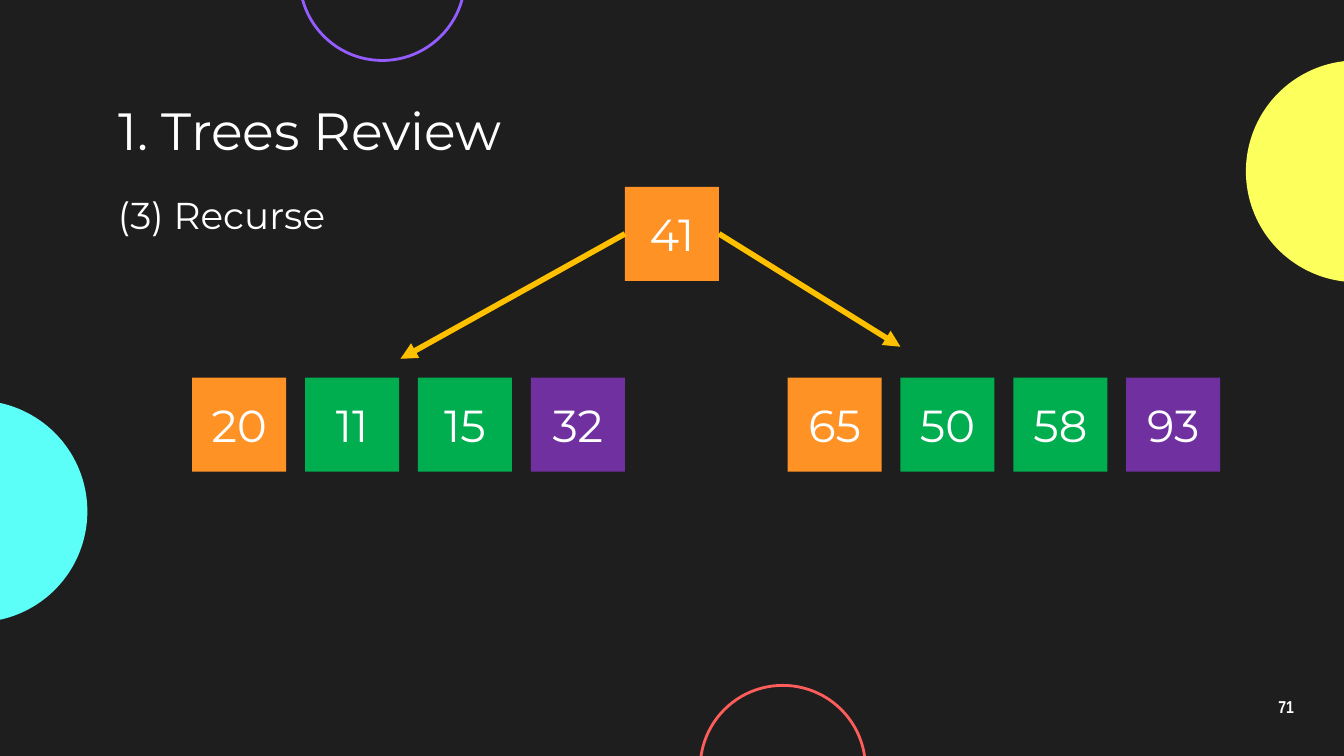
from pptx import Presentation, util as u
from pptx.dml.color import RGBColor
from pptx.enum import shapes, text
from pptx.oxml.ns import qn
from lxml import etree

W = 10
H = W * 9 / 16
FONT = "Montserrat"
NODE, STEP = 0.7, 0.84  # square side and column pitch
COLORS = {
    "bg": "1E1E1E", "text": "FFFFFF", "cyan": "5CFFF8", "yellow": "FDFF5C",
    "violet": "955CFF", "red": "FF5C5C", "orange": "FF9225",
    "green": "00AE4F", "purple": "7030A0", "arrow": "FFC000",
}
ROW_COLORS = ["orange", "green", "green", "purple"]


def rgb(name):
    return RGBColor.from_string(COLORS[name])


def inches(*values):
    return [u.Inches(v) for v in values]


def write(sp, words, size, align, anchor, inset=0.1, font=FONT, bold=False):
    tf = sp.text_frame
    tf.word_wrap = True
    tf.vertical_anchor = anchor
    tf.margin_left = tf.margin_right = u.Inches(0.1)
    tf.margin_top = tf.margin_bottom = u.Inches(inset)
    p = tf.paragraphs[0]
    p.alignment = align
    r = p.add_run()
    r.text = words
    r.font.name, r.font.size, r.font.bold = font, u.Pt(size), bold
    r.font.color.rgb = rgb("text")
    return p


def add_circle(s, x, y, d, color, outlined=False):
    sp = s.shapes.add_shape(shapes.MSO_SHAPE.OVAL, *inches(x, y, d, d))
    sp.shadow.inherit = False
    if outlined:
        sp.fill.background()
        sp.line.color.rgb = rgb(color)
        sp.line.width = u.Pt(1.5)
    else:
        sp.fill.solid()
        sp.fill.fore_color.rgb = rgb(color)
        sp.line.fill.background()


def add_backdrop(s):
    s.background.fill.solid()
    s.background.fill.fore_color.rgb = rgb("bg")
    add_circle(s, -1, 2.98, 1.65, "cyan")
    add_circle(s, 9.27, 0.45, 1.65, "yellow")
    add_circle(s, 2.23, -0.78, 1.23, "violet", outlined=True)
    add_circle(s, 5.21, 5.1, 1.23, "red", outlined=True)


def add_headings(s, x, y, w, h):
    title = s.shapes.title
    title.left, title.top, title.width, title.height = inches(x, y, w, h)
    write(title, "1. Trees Review", 28, text.PP_ALIGN.LEFT, text.MSO_ANCHOR.MIDDLE)
    step = s.shapes.add_textbox(*inches(x, y + 0.62, 1.87, h))
    write(step, "(3) Recurse", 20, text.PP_ALIGN.LEFT, text.MSO_ANCHOR.TOP)


def add_page_number(s, x, y, w, h):
    box = s.shapes.add_textbox(*inches(x, y, w, h))
    p = write(box, "71", 9.2, text.PP_ALIGN.CENTER, text.MSO_ANCHOR.MIDDLE,
              font="Arial Narrow", bold=True)
    p.line_spacing = 0.9


def add_node(s, x, y, value, color):
    sp = s.shapes.add_shape(shapes.MSO_SHAPE.RECTANGLE, *inches(x, y, NODE, NODE))
    sp.shadow.inherit = False
    sp.fill.solid()
    sp.fill.fore_color.rgb = rgb(color)
    sp.line.fill.background()
    write(sp, str(value), 24, text.PP_ALIGN.CENTER, text.MSO_ANCHOR.MIDDLE, inset=0.05)
    return sp


def add_row(s, x, y, values):
    for i, (value, color) in enumerate(zip(values, ROW_COLORS)):
        add_node(s, x + i * STEP, y, value, color)


def add_arrow(s, node, side, x, y):
    c = s.shapes.add_connector(shapes.MSO_CONNECTOR.STRAIGHT,
                               node.left, node.top, *inches(x, y))
    c.begin_connect(node, side)
    c.line.color.rgb = rgb("arrow")
    c.line.width = u.Pt(3)
    etree.SubElement(c.line._get_or_add_ln(), qn("a:tailEnd"), type="triangle")
    etree.SubElement(c._element.spPr, qn("a:effectLst"))


def add_tree(s, x, y):
    # Root centred on the slide, partitions in the row below
    root = add_node(s, (W - NODE) / 2, y, 41, "orange")
    row_y = y + 1.42
    add_row(s, x, row_y, [20, 11, 15, 32])
    add_row(s, x + 4.43, row_y, [65, 50, 58, 93])
    add_arrow(s, root, 1, 2.98, row_y - 0.14)
    add_arrow(s, root, 3, 6.7, row_y - 0.23)


def main():
    prs = Presentation()
    prs.slide_width, prs.slide_height = inches(W, H)
    s = prs.slides.add_slide(prs.slide_layouts[5])
    add_backdrop(s)
    add_page_number(s, 9.27, 5.1, 0.6, 0.34)
    add_headings(s, 0.78, 0.71, 8.44, 0.51)
    add_tree(s, 1.43, 1.39)
    prs.save("out.pptx")


if __name__ == "__main__":
    main()
